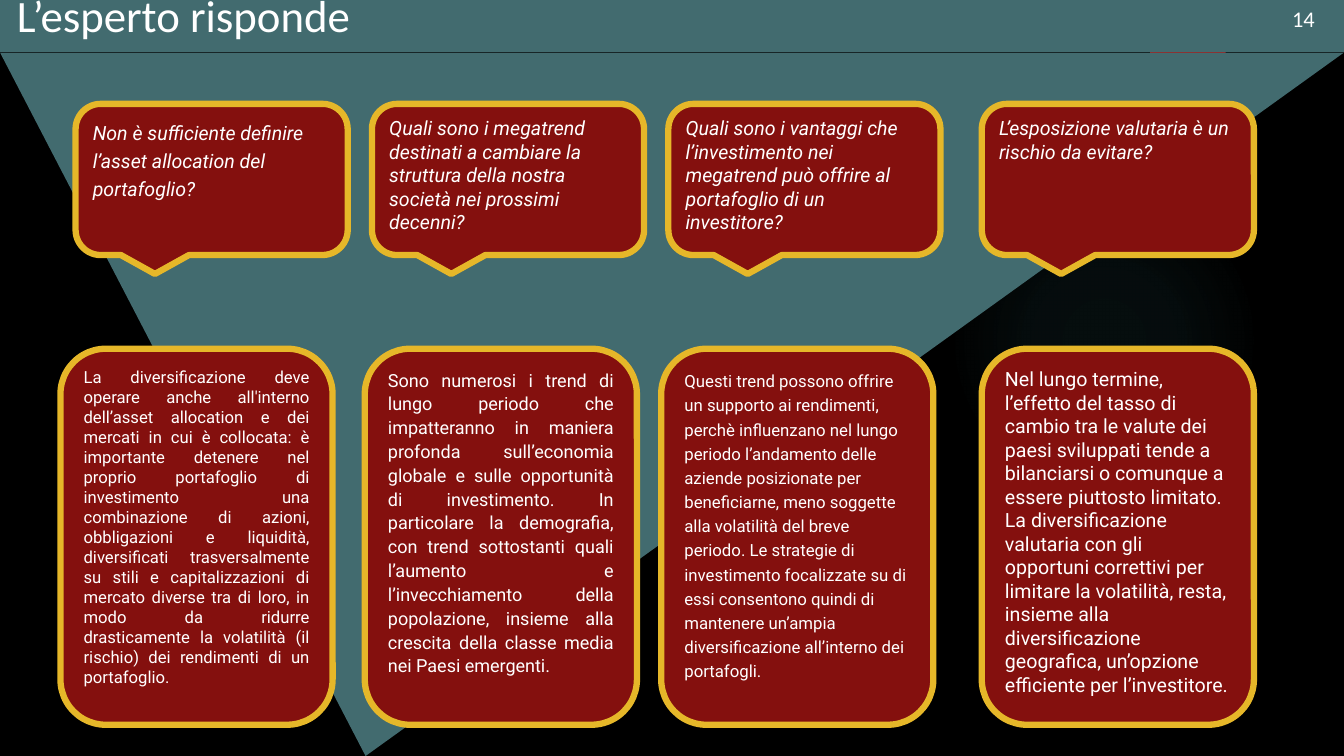
from dataclasses import dataclass

from lxml import etree
from pptx import Presentation
from pptx.dml.color import RGBColor
from pptx.enum.shapes import MSO_SHAPE as Shape
from pptx.enum.text import MSO_ANCHOR as Anchor, PP_ALIGN as Align
from pptx.oxml.ns import qn
from pptx.util import Pt


@dataclass(frozen=True)
class Theme:
    """Colours, fonts and type sizes of the slide."""
    background: str = "000000"
    teal: str = "426B6F"
    glow: str = "50B9C1"
    ribbon: str = "B01513"
    card: str = "84100E"
    border: str = "E6B729"
    text: str = "FFFFFF"
    heading_font: str = "Calibri"
    body_font: str = "Roboto"
    title_size: float = 32
    number_size: float = 16
    question_size: float = 14


THEME = Theme()
WIDTH, HEIGHT = 960, 540
BANNER_HEIGHT = 37.2
TRIANGLE_TOP = 37.5
CARD_WIDTH = 194.4
QUESTION_TOP, QUESTION_HEIGHT = 74.2, 108
ANSWER_TOP, ANSWER_HEIGHT = 249.1, 268.6

QUESTIONS = [
    (54, 1.2, "Non è sufficiente definire l’asset allocation del portafoglio?"),
    (265.7, 1, "Quali sono i megatrend destinati a cambiare la struttura della "
     "nostra società nei prossimi decenni?"),
    (477.4, 1, "Quali sono i vantaggi che l’investimento nei megatrend può "
     "offrire al portafoglio di un investitore?"),
    (701.3, 1, "L’esposizione valutaria è un rischio da evitare?"),
]

ANSWERS = [
    (43.2, 11.9, 1, Align.JUSTIFY,
     "La diversificazione deve operare anche all'interno dell’asset allocation e "
     "dei mercati in cui è collocata: è importante detenere nel proprio "
     "portafoglio di investimento una combinazione di azioni, obbligazioni e "
     "liquidità, diversiﬁcati trasversalmente su stili e capitalizzazioni di "
     "mercato diverse tra di loro, in modo da ridurre drasticamente la "
     "volatilità (il rischio) dei rendimenti di un portafoglio."),
    (260.6, 12.9, 1.1, Align.JUSTIFY,
     "Sono numerosi i trend di lungo periodo che impatteranno in maniera profonda "
     "sull’economia globale e sulle opportunità di investimento. In particolare "
     "la demografia, con trend sottostanti quali l’aumento e l’invecchiamento "
     "della popolazione, insieme alla crescita della classe media nei Paesi "
     "emergenti."),
    (472.3, 12, 1.2, Align.LEFT,
     "Questi trend possono offrire un supporto ai rendimenti, perchè influenzano "
     "nel lungo periodo l’andamento delle aziende posizionate per beneficiarne, "
     "meno soggette alla volatilità del breve periodo. Le strategie di "
     "investimento focalizzate su di essi consentono quindi di mantenere un’ampia "
     "diversificazione all’interno dei portafogli."),
    (701.3, 14, 1, Align.LEFT,
     "Nel lungo termine, l’effetto del tasso di cambio tra le valute dei paesi "
     "sviluppati tende a bilanciarsi o comunque a essere piuttosto limitato. La "
     "diversificazione valutaria con gli opportuni correttivi per limitare la "
     "volatilità, resta, insieme alla diversificazione geografica, un’opzione "
     "efficiente per l’investitore."),
]


def add_block(slide, kind, left, top, width, height, color):
    """Add a plain filled shape without outline or shadow."""
    shape = slide.shapes.add_shape(kind, Pt(left), Pt(top), Pt(width), Pt(height))
    shape.shadow.inherit = False
    shape.fill.solid()
    shape.fill.fore_color.rgb = RGBColor.from_string(color)
    shape.line.fill.background()
    return shape


def write_text(shape, text, font, size, spacing=1, align=Align.LEFT, italic=False):
    """Write one top-anchored, wrapped paragraph into a shape."""
    frame = shape.text_frame
    frame.word_wrap = True
    frame.vertical_anchor = Anchor.TOP
    paragraph = frame.paragraphs[0]
    paragraph.text = text
    paragraph.alignment = align
    paragraph.line_spacing = spacing
    paragraph.font.name = font
    paragraph.font.size = Pt(size)
    paragraph.font.italic = italic
    paragraph.font.color.rgb = RGBColor.from_string(THEME.text)


def add_label(slide, left, top, width, height, text, size):
    """Add a text box in the heading font."""
    box = slide.shapes.add_textbox(Pt(left), Pt(top), Pt(width), Pt(height))
    write_text(box, text, THEME.heading_font, size)


def add_card(slide, kind, left, top, height, text, size, **style):
    """Add a bordered red card with its text."""
    card = add_block(slide, kind, left, top, CARD_WIDTH, height, THEME.card)
    card.line.color.rgb = RGBColor.from_string(THEME.border)
    card.line.width = Pt(4.5)
    write_text(card, text, THEME.body_font, size, **style)


def add_glow(slide):
    """Add the faint round glow that fades towards its rim."""
    glow = add_block(slide, Shape.OVAL, 677.5, 131.8, 221.8, 221.8, THEME.glow)
    gradient = etree.Element(qn("a:gradFill"), rotWithShape="1")
    stops = etree.SubElement(gradient, qn("a:gsLst"))
    for position, alpha in ((0, 7), (36, 6), (69, 0)):
        stop = etree.SubElement(stops, qn("a:gs"), pos=str(position * 1000))
        color = etree.SubElement(stop, qn("a:srgbClr"), val=THEME.glow)
        etree.SubElement(color, qn("a:alpha"), val=str(alpha * 1000))
    circle = etree.SubElement(gradient, qn("a:path"), path="circle")
    etree.SubElement(circle, qn("a:fillToRect"), l="50000", t="50000", r="50000", b="50000")
    properties = glow.element.spPr
    properties.replace(properties.find(qn("a:solidFill")), gradient)


def add_backdrop(slide):
    """Draw the dark background, glow, ribbon, triangle and title banner."""
    slide.background.fill.solid()
    slide.background.fill.fore_color.rgb = RGBColor.from_string(THEME.background)
    add_glow(slide)
    add_block(slide, Shape.RECTANGLE, 821.5, 0, 54, 90, THEME.ribbon)
    triangle = add_block(slide, Shape.ISOSCELES_TRIANGLE, 0, TRIANGLE_TOP,
                         WIDTH, HEIGHT - TRIANGLE_TOP, THEME.teal)
    triangle.rotation = 180
    triangle.adjustments[0] = 0.728
    add_block(slide, Shape.RECTANGLE, 0, 0, WIDTH, BANNER_HEIGHT, THEME.teal)


def main():
    """Build the question and answer slide and save it."""
    presentation = Presentation()
    presentation.slide_width, presentation.slide_height = Pt(WIDTH), Pt(HEIGHT)
    slide = presentation.slides.add_slide(presentation.slide_layouts[6])
    add_backdrop(slide)
    add_label(slide, 915.8, 0, 39.6, 26.6, "14", THEME.number_size)
    add_label(slide, 5, -12.2, 905, 26.6, "L’esperto risponde", THEME.title_size)
    for left, spacing, text in QUESTIONS:
        add_card(slide, Shape.ROUNDED_RECTANGULAR_CALLOUT, left, QUESTION_TOP,
                 QUESTION_HEIGHT, text, THEME.question_size, spacing=spacing, italic=True)
    for left, size, spacing, align, text in ANSWERS:
        add_card(slide, Shape.ROUNDED_RECTANGLE, left, ANSWER_TOP, ANSWER_HEIGHT,
                 text, size, spacing=spacing, align=align)
    presentation.save("out.pptx")


if __name__ == "__main__":
    main()
